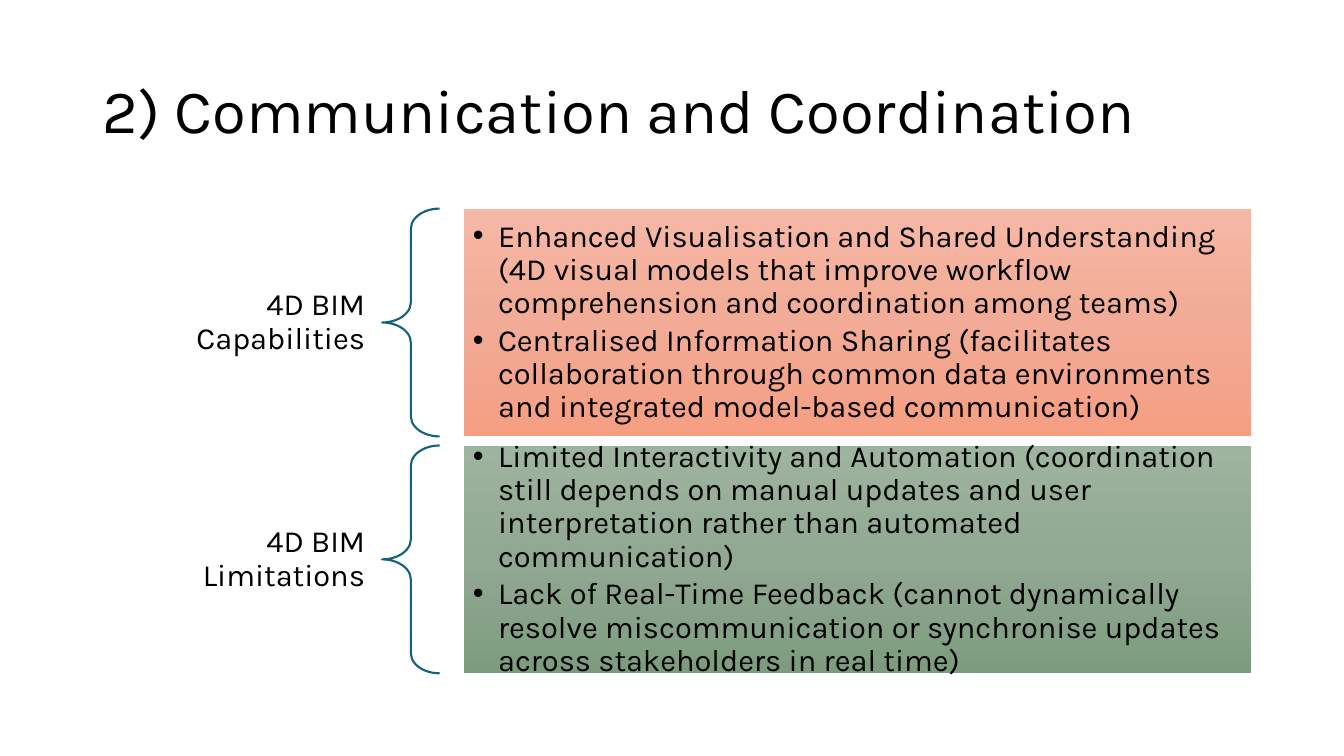
"""Build the 4D BIM communication and coordination slide."""
import copy

import pptx
import pptx.dml.color
import pptx.enum.shapes
import pptx.enum.text
import pptx.oxml
import pptx.oxml.ns
import pptx.util

Inches, Pt = pptx.util.Inches, pptx.util.Pt
SHAPE = pptx.enum.shapes.MSO_SHAPE
ALIGN = pptx.enum.text.PP_ALIGN

TITLE = "2) Communication and Coordination"
GROUPS = [
    {
        "label": "4D BIM Capabilities",
        "label_height": 0.8,
        "points": [
            "Enhanced Visualisation and Shared Understanding (4D visual models "
            "that improve workflow comprehension and coordination among teams)",
            "Centralised Information Sharing (facilitates collaboration through "
            "common data environments and integrated model-based communication)",
        ],
        "gradient": ["F5B8A5", "F2AB96", "F59E82"],
    },
    {
        "label": "4D BIM Limitations",
        "label_height": 0.48,
        "points": [
            "Limited Interactivity and Automation (coordination still depends on "
            "manual updates and user interpretation rather than automated communication)",
            "Lack of Real-Time Feedback (cannot dynamically resolve miscommunication "
            "or synchronise updates across stakeholders in real time)",
        ],
        "gradient": ["9EB49F", "91A892", "7D9C7E"],
    },
]
THEME = {"font": "Karla", "text": "000000", "brace": "156082",
         "title_size": 44, "body_size": 22}

LEFT, TOP = 0.92, 2.07
ROW_HEIGHT, ROW_PITCH = 2.26, 2.35
LABEL_WIDTH, BRACE_WIDTH = 2.87, 0.57
BRACE_LEFT = LEFT + LABEL_WIDTH
PANEL_LEFT, PANEL_WIDTH = 4.6, 7.81


def rgb(value):
    return pptx.dml.color.RGBColor.from_string(value)


def write(sp, lines, size, margins, align=ALIGN.LEFT, bullets=False):
    tf = sp.text_frame
    tf.word_wrap = True
    tf.vertical_anchor = pptx.enum.text.MSO_ANCHOR.MIDDLE
    tf.margin_left = tf.margin_right = Inches(margins[0])
    tf.margin_top = tf.margin_bottom = Inches(margins[1])
    tf.text = "\n".join(lines)
    for p in tf.paragraphs:
        p.alignment = align
        p.line_spacing = 0.9
        if bullets:
            p.space_after = Pt(3.3)
            pPr = p._p.get_or_add_pPr()
            pPr.set("marL", str(Inches(0.25)))
            pPr.set("indent", str(-Inches(0.25)))
            ns = pptx.oxml.ns.nsdecls("a")
            pPr.append(pptx.oxml.parse_xml(f'<a:buFont {ns} typeface="Arial"/>'))
            pPr.append(pptx.oxml.parse_xml(f'<a:buChar {ns} char="•"/>'))
        for r in p.runs:
            r.font.name = THEME["font"]
            r.font.size = Pt(size)
            r.font.color.rgb = rgb(THEME["text"])


def fill_gradient(sp, colors):
    sp.fill.gradient()
    sp.fill.gradient_angle = 270
    stops = sp._element.spPr.find(".//" + pptx.oxml.ns.qn("a:gsLst"))
    stops.append(copy.deepcopy(stops[0]))
    for i, (stop, color) in enumerate(zip(sp.fill.gradient_stops, colors)):
        stop.color.rgb = rgb(color)
        stop.position = i / (len(colors) - 1)


def add_text(s, box, lines, size, margins, align=ALIGN.LEFT):
    sp = s.shapes.add_textbox(*map(Inches, box))
    write(sp, lines, size, margins, align)


def add_shape(s, kind, box):
    sp = s.shapes.add_shape(kind, *map(Inches, box))
    sp.shadow.inherit = False
    return sp


def add_group(s, group, top):
    label_top = top + (ROW_HEIGHT - group["label_height"]) / 2
    add_text(s, (LEFT, label_top, LABEL_WIDTH, group["label_height"]),
             [group["label"]], THEME["body_size"], (0.17, 0.06), ALIGN.RIGHT)

    brace = add_shape(s, SHAPE.LEFT_BRACE, (BRACE_LEFT, top, BRACE_WIDTH, ROW_HEIGHT))
    brace.adjustments[0] = 0.35
    brace.adjustments[1] = 0.5
    brace.fill.background()
    brace.line.color.rgb = rgb(THEME["brace"])
    brace.line.width = Pt(1.5)

    panel = add_shape(s, SHAPE.RECTANGLE, (PANEL_LEFT, top, PANEL_WIDTH, ROW_HEIGHT))
    fill_gradient(panel, group["gradient"])
    panel.line.fill.background()
    write(panel, group["points"], THEME["body_size"], (0.09, 0.09), bullets=True)


def main():
    prs = pptx.Presentation()
    prs.slide_width, prs.slide_height = Inches(13.33), Inches(7.5)
    s = prs.slides.add_slide(prs.slide_layouts[6])
    add_text(s, (LEFT, 0.4, 11.5, 1.45), [TITLE], THEME["title_size"], (0.1, 0.05))
    for i, group in enumerate(GROUPS):
        add_group(s, group, TOP + i * ROW_PITCH)
    prs.save("out.pptx")


if __name__ == "__main__":
    main()
